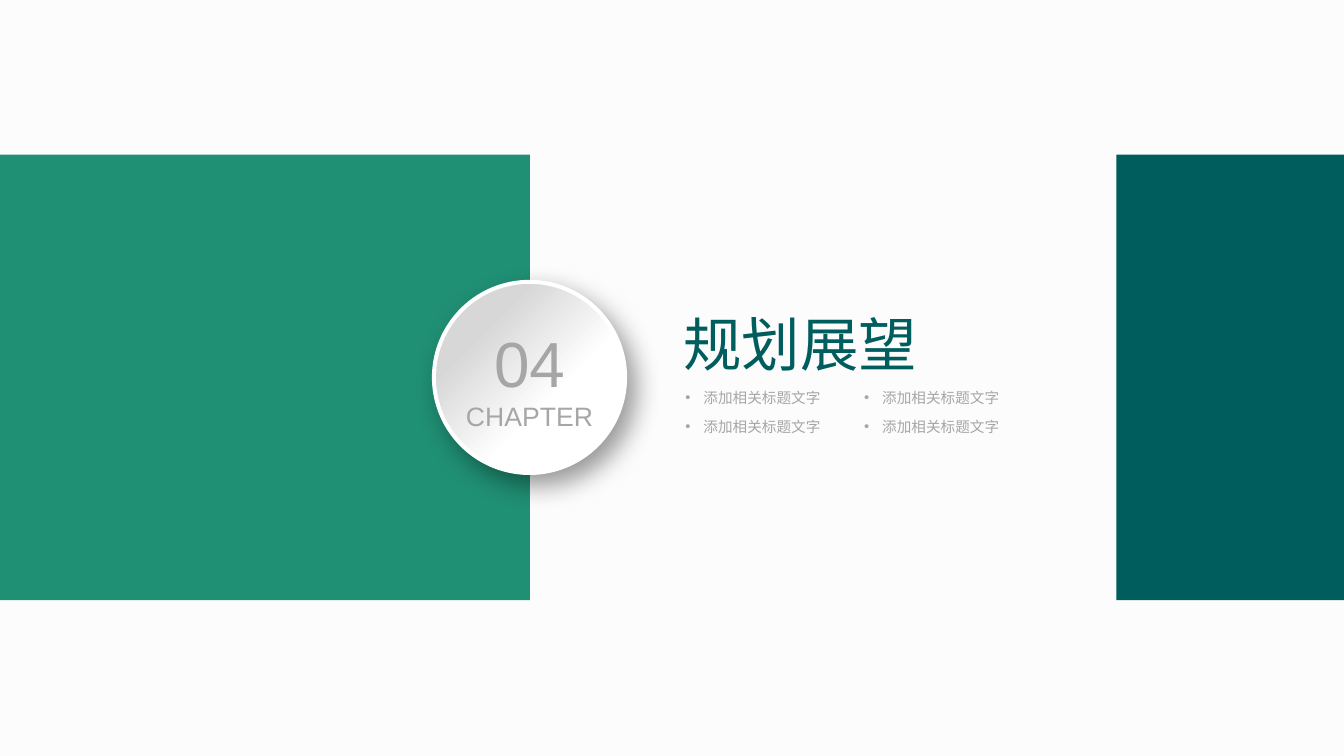
from itertools import product

from lxml.etree import SubElement
from pptx import Presentation
from pptx.dml.color import RGBColor
from pptx.enum.shapes import MSO_SHAPE
from pptx.enum.text import MSO_ANCHOR, MSO_AUTO_SIZE, PP_ALIGN
from pptx.oxml import parse_xml
from pptx.oxml.ns import nsdecls, qn
from pptx.util import Cm, Pt

BACKGROUND = RGBColor(0xFC, 0xFC, 0xFC)
GREEN = RGBColor(0x20, 0x90, 0x75)
TEAL = RGBColor(0x00, 0x5D, 0x5D)
SILVER = RGBColor(0xD7, 0xD7, 0xD7)
WHITE = RGBColor(0xFF, 0xFF, 0xFF)
GREY = RGBColor(0xA6, 0xA6, 0xA6)

SHADOW = f"""<a:effectLst {nsdecls('a')}>
  <a:outerShdw blurRad="{Pt(20)}" dist="{Pt(10)}" dir="{50 * 60000}" algn="ctr" rotWithShape="0">
    <a:srgbClr val="000000"><a:alpha val="40000"/></a:srgbClr>
  </a:outerShdw>
</a:effectLst>"""


def apply_format(target, values):
    for name, value in values.items():
        setattr(target, name, value)


class ChapterPage:
    font_name = "Arial"

    def __init__(self, deck):
        self.page = deck.slides.add_slide(deck.slide_layouts[6])
        fill = self.page.background.fill
        fill.solid()
        fill.fore_color.rgb = BACKGROUND

    def band(self, left, width, color):
        shape = self.page.shapes.add_shape(
            MSO_SHAPE.RECTANGLE, Cm(left), Cm(4.11), Cm(width), Cm(11.84))
        shape.shadow.inherit = False
        shape.fill.solid()
        shape.fill.fore_color.rgb = color
        shape.line.fill.background()

    def badge(self, left, top, size):
        """Add the round chapter badge with its gradient and soft shadow."""
        shape = self.page.shapes.add_shape(
            MSO_SHAPE.OVAL, Cm(left), Cm(top), Cm(size), Cm(size))
        shape.fill.gradient()
        shape.fill.gradient_angle = 315
        stops = [(0.25, SILVER), (0.62, WHITE)]
        for stop, (position, color) in zip(shape.fill.gradient_stops, stops):
            stop.position = position
            stop.color.rgb = color
        shape.line.color.rgb = WHITE
        shape.line.width = Pt(3)
        shape._element.spPr.append(parse_xml(SHADOW))

    def text(self, area, lines, color, frame_format, para_format):
        """Add a text box; lines holds one (words, size) pair per paragraph."""
        box = self.page.shapes.add_textbox(*map(Cm, area))
        frame = box.text_frame
        apply_format(frame, {"word_wrap": True,
                             "auto_size": MSO_AUTO_SIZE.SHAPE_TO_FIT_TEXT,
                             **frame_format})
        for index, (words, size) in enumerate(lines):
            para = frame.add_paragraph() if index else frame.paragraphs[0]
            apply_format(para, para_format)
            span = para.add_run()
            span.text = words
            apply_format(span.font, {"name": self.font_name, "size": Pt(size)})
            span.font.color.rgb = color
        return box

    def bullet(self, left, top, words):
        box = self.text((left, top, 4.14, 0.74), [(words, 11)], GREY,
                        {"word_wrap": False}, {"level": 1})
        properties = box.text_frame.paragraphs[0]._p.get_or_add_pPr()
        indent = Cm(0.48)
        properties.set("marL", str(indent))
        properties.set("indent", str(-indent))
        SubElement(properties, qn("a:buFont")).set("typeface", self.font_name)
        SubElement(properties, qn("a:buChar")).set("char", "•")


def main():
    deck = Presentation()
    apply_format(deck, {"slide_width": Cm(35.71), "slide_height": Cm(20.09)})
    chapter = ChapterPage(deck)

    chapter.band(-0.07, 14.15, GREEN)
    chapter.band(29.66, 6.11, TEAL)
    chapter.badge(11.53, 7.49, 5.08)

    no_margins = dict.fromkeys(
        ["margin_left", "margin_top", "margin_right", "margin_bottom"], 0)
    chapter.text((11.96, 8.59, 4.22, 2.9), [("04", 48), ("CHAPTER", 20)], GREY,
                 {**no_margins, "vertical_anchor": MSO_ANCHOR.MIDDLE},
                 {"alignment": PP_ALIGN.CENTER})
    chapter.text((18.16, 8.18, 8.84, 1.88), [("规划展望", 44)], TEAL, no_margins, {})

    for row, column in product(range(2), repeat=2):
        chapter.bullet(17.96 + 4.75 * column, 10.21 + 0.76 * row, "添加相关标题文字")

    deck.save("out.pptx")


if __name__ == "__main__":
    main()
